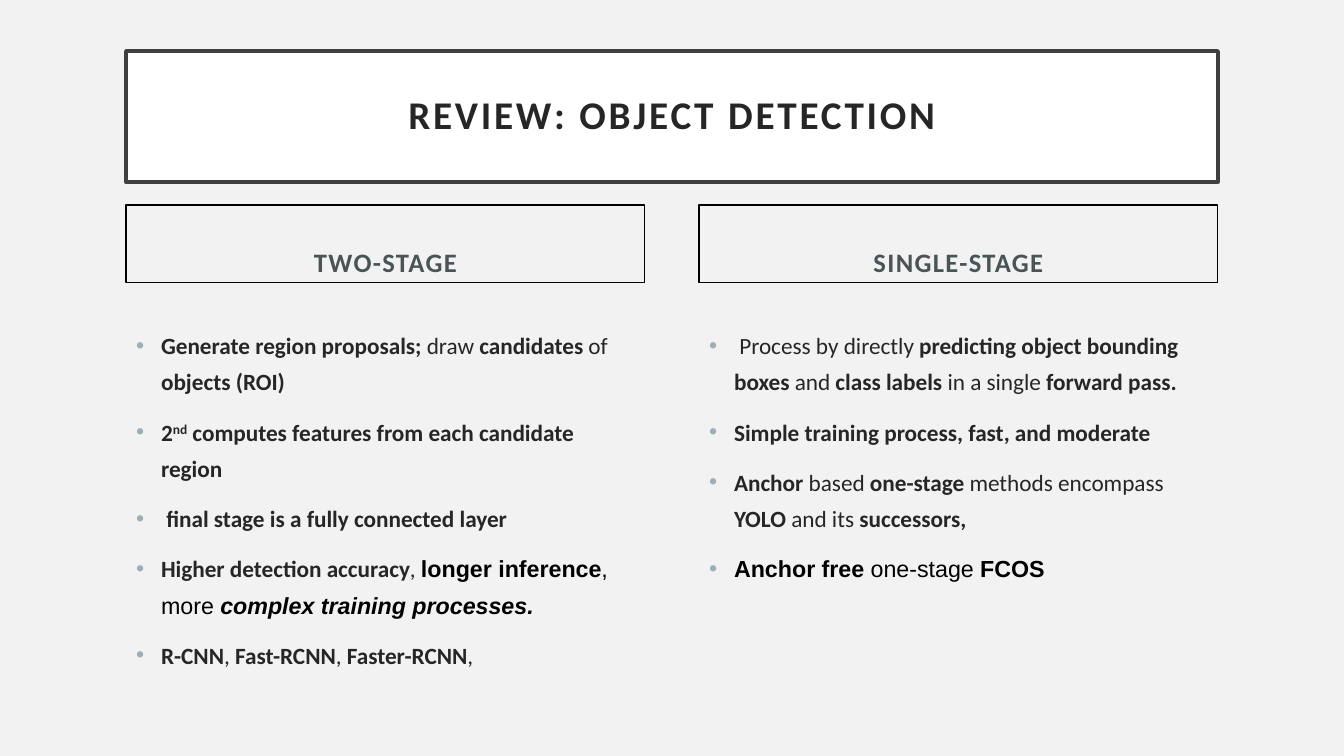
from typing import NamedTuple

from lxml.etree import SubElement
from pptx import Presentation
from pptx.dml.color import RGBColor
from pptx.enum.text import MSO_ANCHOR as Anchor, MSO_AUTO_SIZE as AutoSize, PP_ALIGN as Align
from pptx.oxml.ns import qn
from pptx.util import Emu, Pt

EMU_PER_PX = 914400 / 100.8
INK, BLACK, SLATE, BULLET = "262626", "000000", "4A5356", "9BAFB5"


class Box(NamedTuple):
    """A rectangle in px."""
    left: int
    top: int
    width: int
    height: int


class Run(NamedTuple):
    """A stretch of text with one character format."""
    text: str
    bold: bool = True
    italic: bool = False
    raised: bool = False
    font: str = "Calibri"
    color: str = INK


class Banner(NamedTuple):
    """A framed, centred line of text."""
    text: str
    box: Box
    size: int
    color: str
    tracking: int
    border: str
    border_width: float
    anchor: Anchor
    inset: int
    spacing: float
    fill: str | None = None


class Stage(NamedTuple):
    """A detector family with its heading and points."""
    heading: str
    left: int
    heading_idx: int
    list_idx: int
    points: list[list[Run]]


def plain(text: str) -> Run:
    """Return a regular run."""
    return Run(text, bold=False)


def arial(text: str, bold: bool = True, italic: bool = False) -> Run:
    """Return a black Arial run."""
    return Run(text, bold, italic, font="Arial", color=BLACK)


TITLE = Banner("REVIEW: OBJECT DETECTION", Box(126, 51, 1092, 131), 28, INK, 200,
               "404040", 2.5, Anchor.MIDDLE, 20, 0.9, "FFFFFF")

STAGES = [
    Stage("TWO-STAGE", 126, 1, 2, [
        [Run("Generate region proposals; "), plain("draw "), Run("candidates"),
         plain(" of "), Run("objects (ROI)")],
        [Run("2"), Run("nd", raised=True),
         Run(" computes features from each candidate region")],
        [Run(" final stage is a fully connected layer")],
        [Run("Higher detection accuracy"), plain(", "), arial("longer inference"),
         arial(", more ", bold=False), arial("complex training processes.", italic=True)],
        [Run("R-CNN"), plain(", "), Run("Fast-RCNN"), plain(", "),
         Run("Faster-RCNN"), plain(",")],
    ]),
    Stage("SINGLE-STAGE", 699, 3, 4, [
        [plain(" Process by directly "), Run("predicting object bounding boxes"),
         plain(" and "), Run("class labels "), plain("in a single "), Run("forward pass.")],
        [Run("Simple training process, fast, and moderate")],
        [Run("Anchor "), plain("based"), Run(" one-stage "), plain("methods encompass"),
         Run(" YOLO "), plain("and its "), Run("successors,")],
        [arial("Anchor free"), arial(" one-stage ", bold=False), arial("FCOS")],
    ]),
]


def px(length: int) -> Emu:
    """Turn px into EMU."""
    return Emu(round(length * EMU_PER_PX))


def rgb(color: str) -> RGBColor:
    """Turn a hex string into a colour."""
    return RGBColor.from_string(color)


def place(holder, box: Box) -> None:
    """Move a placeholder and let its text wrap at full size."""
    holder.left, holder.top, holder.width, holder.height = map(px, box)
    holder.text_frame.word_wrap = True
    holder.text_frame.auto_size = AutoSize.NONE


def draw_banner(holder, banner: Banner) -> None:
    """Format a placeholder as a framed line of text."""
    place(holder, banner.box)
    if banner.fill:
        holder.fill.solid()
        holder.fill.fore_color.rgb = rgb(banner.fill)
    holder.line.color.rgb = rgb(banner.border)
    holder.line.width = Pt(banner.border_width)
    frame = holder.text_frame
    frame.vertical_anchor = banner.anchor
    if banner.inset:
        frame.margin_left = frame.margin_right = px(banner.inset)
        frame.margin_top = frame.margin_bottom = px(banner.inset)
    line = frame.paragraphs[0]
    line.alignment, line.line_spacing, line.space_before = Align.CENTER, banner.spacing, Pt(0)
    font = line.font
    font.name, font.size, font.bold = "Calibri", Pt(banner.size), True
    font.color.rgb = rgb(banner.color)
    wording = line.add_run()
    wording.text = banner.text
    wording.font.bold = True
    wording._r.get_or_add_rPr().set("spc", str(banner.tracking))


def add_bullet(paragraph) -> None:
    """Give a paragraph a coloured bullet and a hanging indent."""
    props = paragraph._p.get_or_add_pPr()
    props.set("marL", str(px(25)))
    props.set("indent", str(-px(25)))
    SubElement(SubElement(props, qn("a:buClr")), qn("a:srgbClr")).set("val", BULLET)
    SubElement(props, qn("a:buFont")).set("typeface", "Arial")
    SubElement(props, qn("a:buChar")).set("char", "•")


def draw_points(holder, box: Box, points: list[list[Run]]) -> None:
    """Fill a placeholder with bulleted points."""
    place(holder, box)
    frame = holder.text_frame
    frame.vertical_anchor = Anchor.TOP
    for order, runs in enumerate(points):
        point = frame.add_paragraph() if order else frame.paragraphs[0]
        point.line_spacing, point.space_before = 1.3, Pt(10 if order else 0)
        add_bullet(point)
        point.font.size = Pt(16.6)
        shared_font = len({(run.font, run.color) for run in runs}) == 1
        if shared_font:
            point.font.name, point.font.color.rgb = runs[0].font, rgb(runs[0].color)
        for run in runs:
            piece = point.add_run()
            piece.text = run.text
            piece.font.bold, piece.font.italic = run.bold, run.italic
            if not shared_font:
                piece.font.name, piece.font.color.rgb = run.font, rgb(run.color)
            if run.raised:
                piece._r.get_or_add_rPr().set("baseline", "30000")


def main() -> None:
    """Build and save the slide."""
    deck = Presentation()
    deck.slide_width, deck.slide_height = px(1344), px(756)
    slide = deck.slides.add_slide(deck.slide_layouts.get_by_name("Comparison"))
    slide.background.fill.solid()
    slide.background.fill.fore_color.rgb = rgb("F2F2F2")
    holders = {holder.placeholder_format.idx: holder for holder in slide.placeholders}
    draw_banner(holders[0], TITLE)
    for stage in STAGES:
        heading = Banner(stage.heading, Box(stage.left, 205, 519, 78), 19, SLATE, 100,
                         BLACK, 0.75, Anchor.BOTTOM, 0, 1.0)
        draw_banner(holders[stage.heading_idx], heading)
        draw_points(holders[stage.list_idx], Box(stage.left, 318, 519, 369), stage.points)
    deck.save("out.pptx")


if __name__ == "__main__":
    main()
